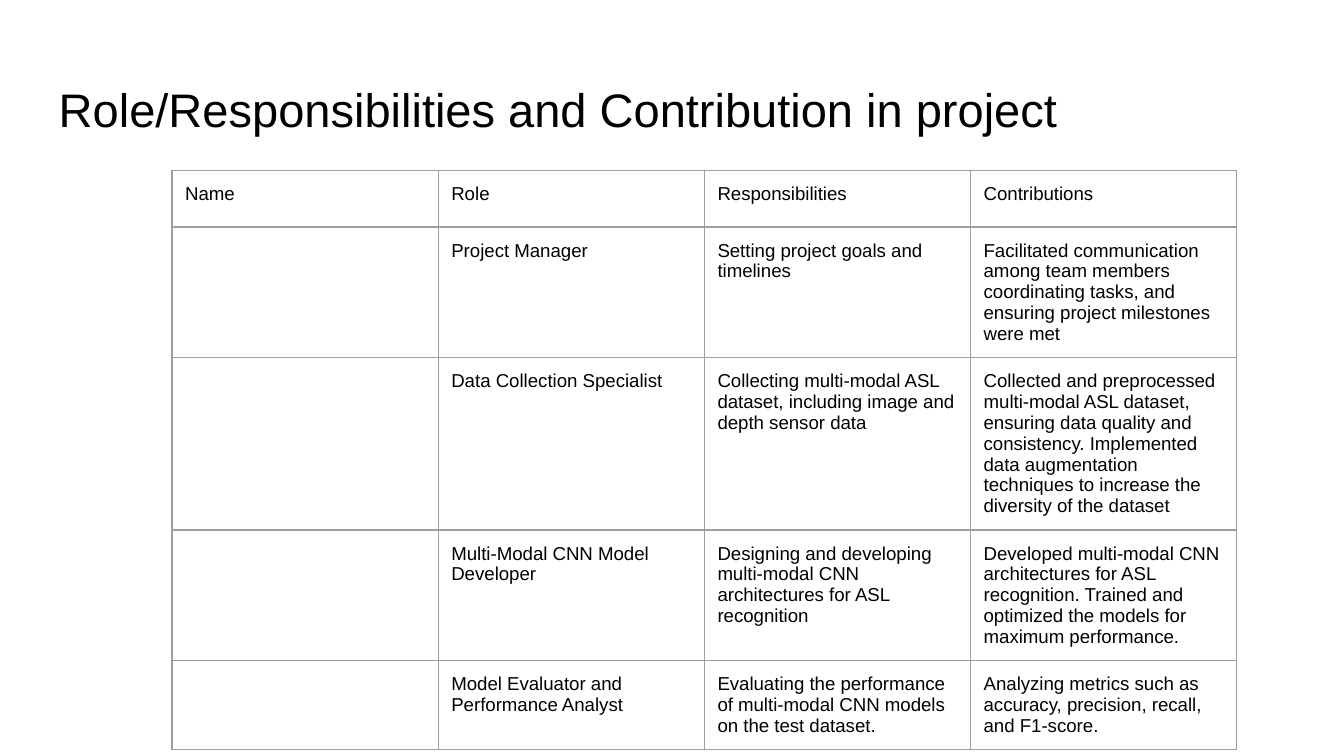
from dataclasses import dataclass

import pptx
import pptx.dml.color
import pptx.enum.text
import pptx.oxml
import pptx.oxml.ns
import pptx.util
from pptx.util import Cm

INK = "000000"
BORDER = "9E9E9E"
BORDER_WIDTH = pptx.util.Pt(0.75)
INSET = Cm(0.25)
COLUMN_WIDTH = Cm(5.03)
ROW_HEIGHT = Cm(1.06)
MARGINS = {
    "margin_left": INSET,
    "margin_right": INSET,
    "margin_top": INSET,
    "margin_bottom": INSET,
}


@dataclass
class Member:
    name: str
    role: str
    responsibilities: str
    contributions: str

    def texts(self) -> list[str]:
        return [self.name, self.role, self.responsibilities, self.contributions]


MEMBERS = [
    Member("Name", "Role", "Responsibilities", "Contributions"),
    Member(
        "",
        "Project Manager",
        "Setting project goals and timelines",
        "Facilitated communication among team members coordinating tasks, "
        "and ensuring project milestones were met",
    ),
    Member(
        "",
        "Data Collection Specialist",
        "Collecting multi-modal ASL dataset, including image and depth sensor data",
        "Collected and preprocessed multi-modal ASL dataset, ensuring data quality "
        "and consistency. Implemented data augmentation techniques to increase the "
        "diversity of the dataset",
    ),
    Member(
        "",
        "Multi-Modal CNN Model Developer",
        "Designing and developing multi-modal CNN architectures for ASL recognition",
        "Developed multi-modal CNN architectures for ASL recognition. Trained and "
        "optimized the models for maximum performance.",
    ),
    Member(
        "",
        "Model Evaluator and Performance Analyst",
        "Evaluating the performance of multi-modal CNN models on the test dataset.",
        "Analyzing metrics such as accuracy, precision, recall, and F1-score.",
    ),
]


def set_values(target, values: dict) -> None:
    for name, value in values.items():
        setattr(target, name, value)


def set_color(color_format, value: str) -> None:
    color_format.rgb = pptx.dml.color.RGBColor.from_string(value)


def format_text(para, size: float) -> None:
    set_values(para.font, {"name": "Arial", "size": pptx.util.Pt(size), "bold": False})
    set_color(para.font.color, INK)


def add_borders(cell) -> None:
    properties = cell._tc.get_or_add_tcPr()
    for position, side in enumerate(("lnL", "lnR", "lnT", "lnB")):
        line = pptx.oxml.parse_xml(
            f'<a:{side} {pptx.oxml.ns.nsdecls("a")} w="{BORDER_WIDTH}">'
            f'<a:solidFill><a:srgbClr val="{BORDER}"/></a:solidFill></a:{side}>'
        )
        properties.insert(position, line)


def draw_title(slide, text: str) -> None:
    title = slide.shapes.title
    set_values(
        title,
        {"left": Cm(0.86), "top": Cm(1.24), "width": Cm(23.67), "height": Cm(1.6)},
    )
    frame = title.text_frame
    set_values(frame, MARGINS)
    set_values(
        frame,
        {"word_wrap": True, "vertical_anchor": pptx.enum.text.MSO_ANCHOR.BOTTOM},
    )
    frame.text = text
    para = frame.paragraphs[0]
    para.alignment = pptx.enum.text.PP_ALIGN.LEFT
    format_text(para, 25.2)


def draw_table(slide, members: list[Member]) -> None:
    rows, columns = len(members), len(members[0].texts())
    table = slide.shapes.add_table(
        rows, columns, Cm(3.25), Cm(3.23), COLUMN_WIDTH * columns, ROW_HEIGHT * rows
    ).table
    set_values(table, {"first_row": False, "horz_banding": False})
    for row, member in zip(table.rows, members):
        row.height = ROW_HEIGHT
        for cell, text in zip(row.cells, member.texts()):
            set_values(cell, MARGINS)
            cell.text = text
            format_text(cell.text_frame.paragraphs[0], 10)
            cell.fill.background()
            add_borders(cell)


def main() -> None:
    deck = pptx.Presentation()
    set_values(deck, {"slide_width": Cm(25.4), "slide_height": Cm(14.29)})
    slide = deck.slides.add_slide(deck.slide_layouts[5])
    draw_title(slide, "Role/Responsibilities and Contribution in project")
    draw_table(slide, MEMBERS)
    deck.save("out.pptx")


if __name__ == "__main__":
    main()
